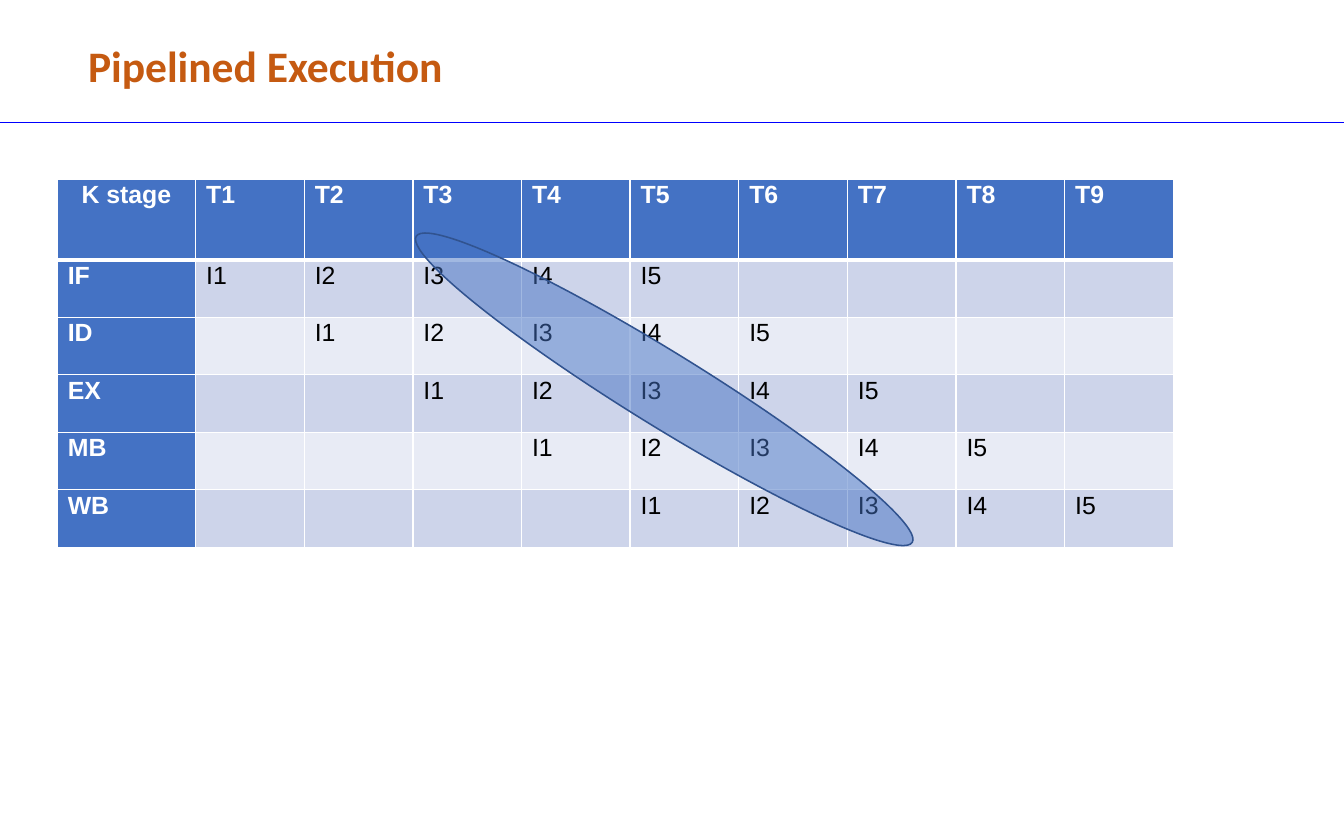
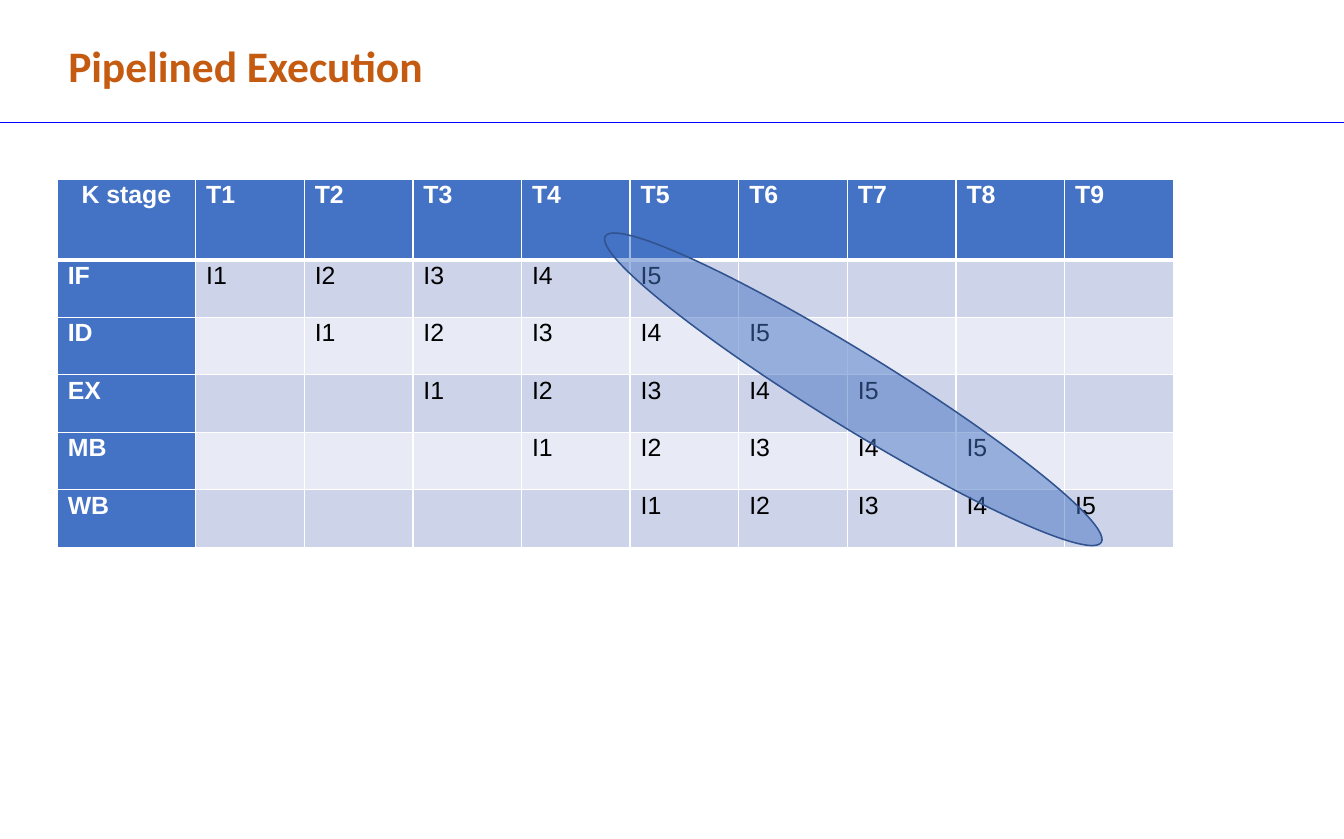
import dataclasses

import lxml.etree
import pptx
import pptx.dml.color
import pptx.enum.shapes
import pptx.enum.text
import pptx.oxml.ns
import pptx.util

Cm = pptx.util.Cm
Pt = pptx.util.Pt
RGBColor = pptx.dml.color.RGBColor
qn = pptx.oxml.ns.qn


@dataclasses.dataclass(frozen=True)
class Theme:
    title: str = "C55A11"
    rule: str = "0000FF"
    accent: str = "4472C4"
    outline: str = "31538F"
    light: str = "FFFFFF"
    dark: str = "000000"
    bands: tuple = ("CDD4EA", "E8EBF5")
    title_font: str = "Calibri"
    table_font: str = "Arial"
    title_size: int = 28
    table_size: int = 16


@dataclasses.dataclass(frozen=True)
class Box:
    left: float
    top: float
    width: float
    height: float

    def lengths(self):
        return Cm(self.left), Cm(self.top), Cm(self.width), Cm(self.height)


THEME = Theme()
PAGE = Box(0, 0, 30.5, 19.05)
TABLE = Box(1.3, 4.08, 25.33, 8.35)
STAGES = ("IF", "ID", "EX", "MB", "WB")
INSTRUCTIONS = 5
CYCLES = len(STAGES) + INSTRUCTIONS - 1


def color(value):
    return RGBColor.from_string(value)


def style_runs(paragraph, font, size, value, bold):
    for run in paragraph.runs:
        run.font.name = font
        run.font.size = Pt(size)
        run.font.color.rgb = color(value)
        run.font.bold = bold


def add_header(slide, page, title, title_left):
    rule_top = Cm(page.top + 2.79)
    rule = slide.shapes.add_connector(
        pptx.enum.shapes.MSO_CONNECTOR.STRAIGHT,
        Cm(page.left), rule_top, Cm(page.left + page.width), rule_top)
    rule.line.color.rgb = color(THEME.rule)
    rule.line.width = Pt(0.75)
    lxml.etree.SubElement(rule._element.spPr, qn("a:effectLst"))

    box = Box(page.left + title_left, page.top + 0.76, 10.39, 1.45)
    shape = slide.shapes.add_textbox(*box.lengths())
    frame = shape.text_frame
    frame.word_wrap = True
    frame.auto_size = pptx.enum.text.MSO_AUTO_SIZE.SHAPE_TO_FIT_TEXT
    frame.text = title
    style_runs(frame.paragraphs[0], THEME.title_font, THEME.title_size, THEME.title, True)


def set_borders(cell, top, bottom):
    properties = cell._tc.get_or_add_tcPr()
    for side, width in (("lnL", 1), ("lnR", 1), ("lnT", top), ("lnB", bottom)):
        line = lxml.etree.SubElement(properties, qn("a:" + side), w=str(Pt(width)))
        fill = lxml.etree.SubElement(line, qn("a:solidFill"))
        lxml.etree.SubElement(fill, qn("a:srgbClr"), val=THEME.light)


def cell_text(row, column):
    if row == 0:
        return f"T{column}" if column else "K stage"
    if column == 0:
        return STAGES[row - 1]
    instruction = column - row + 1
    return f"I{instruction}" if 1 <= instruction <= INSTRUCTIONS else ""


def format_cell(cell, row, column):
    heading = row == 0 or column == 0
    set_borders(cell, 3 if row == 1 else 1, 3 if row == 0 else 1)
    cell.fill.solid()
    cell.fill.fore_color.rgb = color(THEME.accent if heading else THEME.bands[(row - 1) % 2])
    cell.margin_left = cell.margin_right = Cm(0.24)
    cell.margin_top = cell.margin_bottom = 0
    text = cell_text(row, column)
    if text:
        cell.text_frame.text = text
        paragraph = cell.text_frame.paragraphs[0]
        paragraph.line_spacing = 1.07
        if row == column == 0:
            paragraph.alignment = pptx.enum.text.PP_ALIGN.CENTER
        style_runs(paragraph, THEME.table_font, THEME.table_size,
                   THEME.light if heading else THEME.dark, heading)


def add_pipeline_table(slide, box):
    row_count, column_count = len(STAGES) + 1, CYCLES + 1
    table = slide.shapes.add_table(row_count, column_count, *box.lengths()).table
    stage_width, heading_height = 3.14, 1.82
    for index, column in enumerate(table.columns):
        column.width = Cm((box.width - stage_width) / CYCLES if index else stage_width)
    for index, row in enumerate(table.rows):
        row.height = Cm((box.height - heading_height) / len(STAGES) if index else heading_height)
    for row in range(row_count):
        for column in range(column_count):
            format_cell(table.cell(row, column), row, column)


def add_highlight(slide, table_box, offset):
    box = Box(table_box.left + offset, table_box.top + 3.92, 13.23, 1.68)
    ellipse = slide.shapes.add_shape(pptx.enum.shapes.MSO_SHAPE.OVAL, *box.lengths())
    ellipse.rotation = 31.7
    ellipse.shadow.inherit = False
    ellipse.fill.solid()
    ellipse.fill.fore_color.rgb = color(THEME.accent)
    fill_color = ellipse._element.spPr.find(qn("a:solidFill")).find(qn("a:srgbClr"))
    lxml.etree.SubElement(fill_color, qn("a:alpha"), val="50000")
    ellipse.line.color.rgb = color(THEME.outline)
    ellipse.line.width = Pt(1)


def add_pipeline_slide(presentation, title_left, highlight_offset):
    slide = presentation.slides.add_slide(presentation.slide_layouts[6])
    add_pipeline_table(slide, TABLE)
    add_highlight(slide, TABLE, highlight_offset)
    add_header(slide, PAGE, "Pipelined Execution", title_left)


def main():
    presentation = pptx.Presentation()
    presentation.slide_width = Cm(PAGE.width)
    presentation.slide_height = Cm(PAGE.height)
    for title_left, highlight_offset in ((1.75, 7.16), (1.3, 11.45)):
        add_pipeline_slide(presentation, title_left, highlight_offset)
    presentation.save("out.pptx")


if __name__ == "__main__":
    main()
